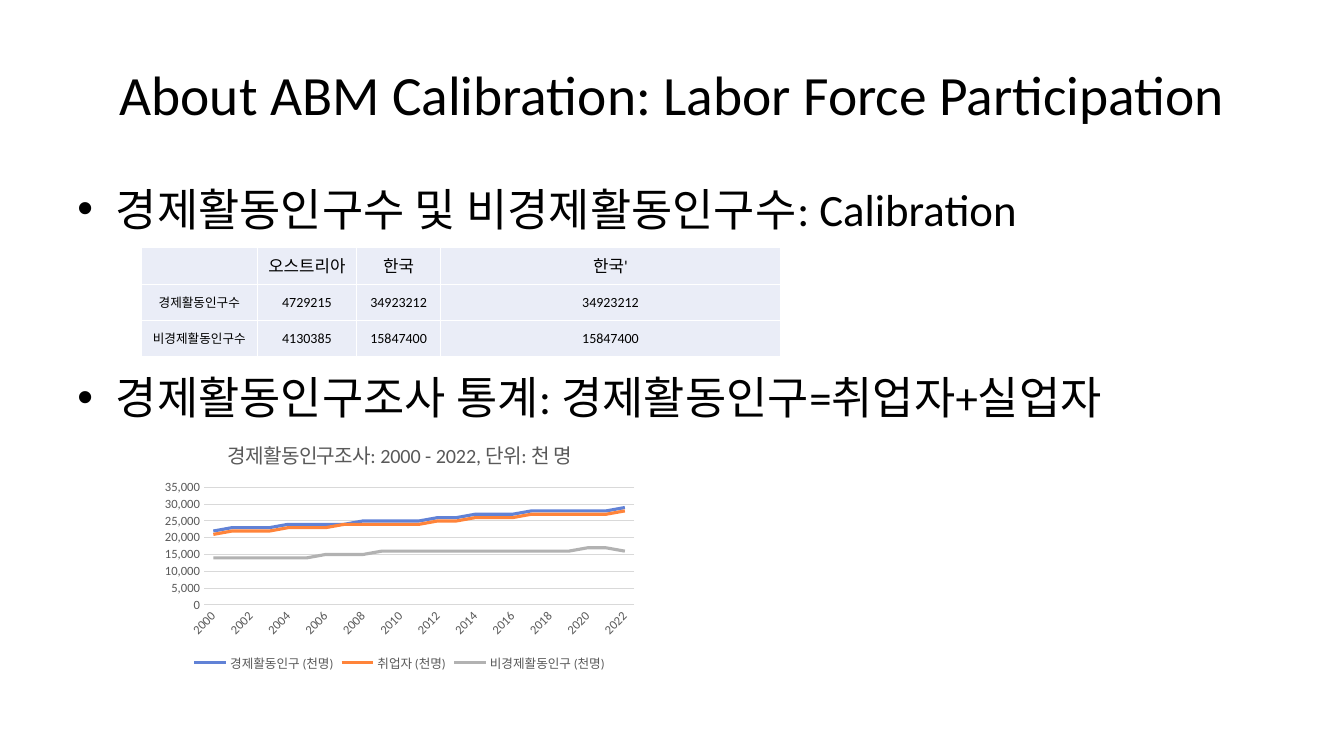
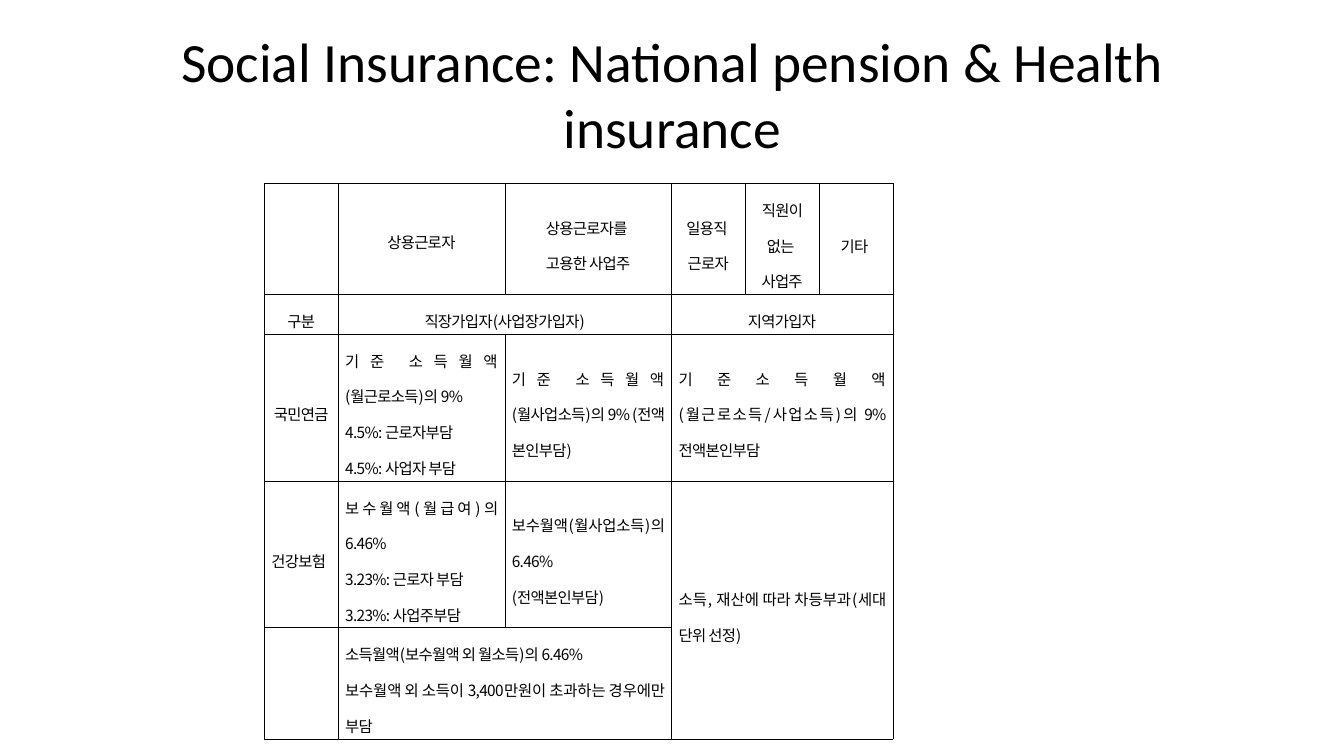
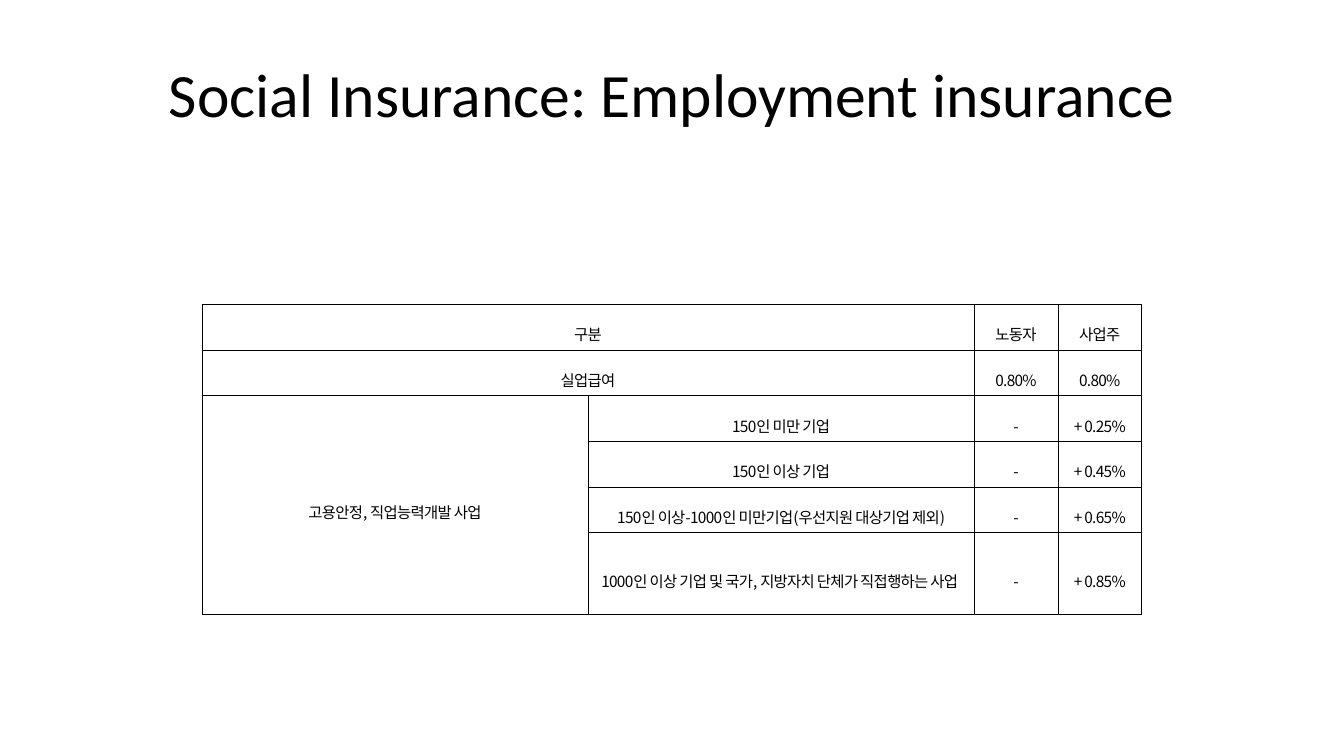
from dataclasses import dataclass

from lxml import etree
from pptx import Presentation
from pptx.chart.data import CategoryChartData
from pptx.dml.color import RGBColor
from pptx.enum.chart import XL_CHART_TYPE, XL_LEGEND_POSITION, XL_TICK_MARK
from pptx.enum.text import MSO_ANCHOR, MSO_AUTO_SIZE, PP_ALIGN
from pptx.oxml.ns import qn
from pptx.util import Cm, Pt

CENTER, JUSTIFY, LEFT = PP_ALIGN.CENTER, PP_ALIGN.JUSTIFY, PP_ALIGN.LEFT
MIDDLE, TOP = MSO_ANCHOR.MIDDLE, MSO_ANCHOR.TOP
NO_FIT = MSO_AUTO_SIZE.NONE
LINE, BOTTOM, NO_TICK = XL_CHART_TYPE.LINE, XL_LEGEND_POSITION.BOTTOM, XL_TICK_MARK.NONE
TITLE_ONLY = 5


@dataclass(frozen=True)
class Theme:
    font: str = "Calibri"
    table_font: str = "Noto Sans CJK KR"
    ink: str = "000000"
    muted: str = "595959"
    grid: str = "D9D9D9"
    white: str = "FFFFFF"
    band: str = "EAEDF7"
    series: tuple = ("6182D6", "FF843A", "B2B2B2")
    title: float = 44
    long_title: float = 39.6
    bullet: float = 32
    chart_title: float = 14.4
    head: float = 12
    table: float = 11
    number: float = 10
    small: float = 9


THEME = Theme()

YEARS = [str(year) for year in range(2000, 2023)]
THOUSAND = 1000
LABOR_SERIES = {
    "경제활동인구 (천명)": [
        22, 23, 23, 23, 24, 24, 24, 24, 25, 25, 25, 25,
        26, 26, 27, 27, 27, 28, 28, 28, 28, 28, 29],
    "취업자 (천명)": [
        21, 22, 22, 22, 23, 23, 23, 24, 24, 24, 24, 24,
        25, 25, 26, 26, 26, 27, 27, 27, 27, 27, 28],
    "비경제활동인구 (천명)": [
        14, 14, 14, 14, 14, 14, 15, 15, 15, 16, 16, 16,
        16, 16, 16, 16, 16, 16, 16, 16, 17, 17, 16],
}

LABOR_ROWS = [
    ["", "오스트리아", "한국", "한국'"],
    ["경제활동인구수", "4729215", "34923212", "34923212"],
    ["비경제활동인구수", "4130385", "15847400", "15847400"],
]

PENSION_ROWS = [
    ["", "상용근로자", "상용근로자를 \n고용한 사업주", "일용직 \n근로자",
     "직원이 없는 \n사업주", "기타 "],
    ["구분", "직장가입자(사업장가입자)", "", "지역가입자", "", ""],
    ["국민연금",
     "기준 소득월액(월근로소득)의 9%\n4.5%: 근로자부담\n4.5%: 사업자 부담",
     "기준 소득월액(월사업소득)의 9% (전액 본인부담)",
     "기준소득월액(월근로소득/사업소득)의 9% 전액본인부담", "", ""],
    ["건강보험",
     "보수월액(월급여)의 6.46%\n3.23%: 근로자 부담\n3.23%: 사업주부담",
     "보수월액(월사업소득)의 6.46%\n(전액본인부담)",
     "소득, 재산에 따라 차등부과(세대 단위 선정)", "", ""],
    ["",
     "소득월액(보수월액 외 월소득)의 6.46%\n보수월액 외 소득이 3,400만원이 초과하는 경우에만 부담",
     "", "", "", ""],
]
PENSION_SPANS = {(1, 1): (1, 2), (1, 3): (1, 5), (2, 3): (2, 5), (3, 3): (4, 5), (4, 1): (4, 2)}

EMPLOYMENT_ROWS = [
    ["구분", "", "노동자", "사업주"],
    ["실업급여", "", "0.80%", "0.80%"],
    ["고용안정, 직업능력개발 사업", "150인 미만 기업", "-", "+ 0.25%"],
    ["", "150인 이상 기업", "-", "+ 0.45%"],
    ["", "150인 이상-1000인 미만기업(우선지원 대상기업 제외)", "-", "+ 0.65%"],
    ["", "1000인 이상 기업 및 국가, 지방자치 단체가 직접행하는 사업 ", "-", "+ 0.85%"],
]
EMPLOYMENT_SPANS = {(0, 0): (0, 1), (1, 0): (1, 1), (2, 0): (5, 0)}


def apply(target, values):
    for name, value in values.items():
        setattr(target, name, value)


def style_font(font, size, color=THEME.ink, name=THEME.font):
    apply(font, {"name": name, "size": Pt(size), "bold": False})
    font.color.rgb = RGBColor.from_string(color)


def write(para, text, size, name=THEME.font, color=THEME.ink, **spacing):
    span = para.add_run()
    span.text = text
    style_font(span.font, size, color, name)
    properties = span.font._element
    etree.SubElement(properties, qn("a:ea"), typeface=name)
    for key, value in spacing.items():
        properties.set(key, str(value))


def add_page(deck, title, size):
    page = deck.slides.add_slide(deck.slide_layouts[TITLE_ONLY])
    box = page.shapes.title
    apply(box, {"left": Cm(1.7), "top": Cm(0.76), "width": Cm(30.48), "height": Cm(3.18)})
    apply(box.text_frame, {"vertical_anchor": MIDDLE, "word_wrap": True, "auto_size": NO_FIT})
    para = box.text_frame.paragraphs[0]
    para.alignment = CENTER
    write(para, title, size)
    return page


def add_bullets(page, texts, gap):
    box = page.shapes.add_textbox(Cm(1.7), Cm(4.45), Cm(30.48), Cm(12.57))
    frame = box.text_frame
    apply(frame, {"word_wrap": True, "vertical_anchor": TOP, "auto_size": NO_FIT})
    for index, text in enumerate(texts):
        para = frame.add_paragraph() if index else frame.paragraphs[0]
        apply(para, {"alignment": LEFT, "space_before": Pt(gap if index else 0)})
        properties = para._p.get_or_add_pPr()
        properties.set("marL", str(Cm(0.97)))
        properties.set("indent", str(-Cm(0.97)))
        etree.SubElement(properties, qn("a:buFont"), typeface="Arial")
        etree.SubElement(properties, qn("a:buChar"), char="•")
        write(para, text, THEME.bullet, kern=0)


def set_borders(cell, color, width):
    properties = cell._tc.get_or_add_tcPr()
    for index, side in enumerate(("lnL", "lnR", "lnT", "lnB")):
        line = etree.Element(qn(f"a:{side}"), w=str(Pt(width)))
        fill = etree.SubElement(line, qn("a:solidFill"))
        etree.SubElement(fill, qn("a:srgbClr"), val=color)
        properties.insert(index, line)


def fill_cell(cell, text, look, row, column):
    apply(cell, {"vertical_anchor": MIDDLE, **look["margins"]})
    if look["fill"]:
        cell.fill.solid()
        cell.fill.fore_color.rgb = RGBColor.from_string(look["fill"])
    else:
        cell.fill.background()
    set_borders(cell, *look["border"])
    size = look["size"](row, column)
    frame = cell.text_frame
    for index, line in enumerate(text.split("\n")):
        para = frame.add_paragraph() if index else frame.paragraphs[0]
        apply(para, {"alignment": look["align"](row, column),
                     "line_spacing": look["spacing"](row, column)})
        if line:
            write(para, line, size, look["font"], kern=0, spc=look["tracking"])
        else:
            para.font.size = Pt(size)


def add_grid(page, left, top, widths, heights, rows, look, spans):
    frame = page.shapes.add_table(len(heights), len(widths), Cm(left), Cm(top),
                                  Cm(sum(widths)), Cm(sum(heights)))
    table = frame.table
    apply(table, {"first_row": False, "horz_banding": False})
    for column, width in zip(table.columns, widths):
        column.width = Cm(width)
    for line, height in zip(table.rows, heights):
        line.height = Cm(height)
    for row, texts in enumerate(rows):
        for column, text in enumerate(texts):
            fill_cell(table.cell(row, column), text, look, row, column)
    for start, end in spans.items():
        table.cell(*start).merge(table.cell(*end))


def margins(side, top, bottom):
    return {"margin_left": Cm(side), "margin_right": Cm(side),
            "margin_top": Cm(top), "margin_bottom": Cm(bottom)}


def always(value):
    return lambda row, column: value


def plain_look(border, cell_margins, align, spacing):
    return {"fill": None, "border": (THEME.ink, border), "margins": cell_margins,
            "font": THEME.table_font, "tracking": -50, "spacing": spacing,
            "align": align, "size": always(THEME.table)}


def style_line(line, color, width):
    line.color.rgb = RGBColor.from_string(color)
    line.width = Pt(width)


def add_line_chart(page, title, categories, series):
    data = CategoryChartData(number_format="#,##0")
    data.categories = categories
    for name, values in series.items():
        data.add_series(name, [value * THOUSAND for value in values])
    chart = page.shapes.add_chart(LINE, Cm(3.91), Cm(10.8), Cm(12.32), Cm(6.22), data).chart
    style_font(chart.font, THEME.number)
    chart.has_title = True
    para = chart.chart_title.text_frame.paragraphs[0]
    write(para, title, THEME.chart_title, color=THEME.muted, kern=0)
    chart.chart_title.include_in_layout = False
    chart.has_legend = True
    apply(chart.legend, {"position": BOTTOM, "include_in_layout": False})
    style_font(chart.legend.font, THEME.small, THEME.muted)
    years, people = chart.category_axis, chart.value_axis
    for axis in (years, people):
        apply(axis, {"major_tick_mark": NO_TICK, "minor_tick_mark": NO_TICK})
        style_font(axis.tick_labels.font, THEME.small, THEME.muted)
    style_line(years.format.line, THEME.grid, 0.75)
    people.format.line.fill.background()
    style_line(people.major_gridlines.format.line, THEME.grid, 0.75)
    apply(people, {"minimum_scale": 0, "maximum_scale": 35000, "major_unit": 5000})
    apply(people.tick_labels, {"number_format": "#,##0", "number_format_is_linked": False})
    chart.plots[0].vary_by_categories = False
    for line, color in zip(chart.plots[0].series, THEME.series):
        line.smooth = False
        style_line(line.format.line, color, 2.25)


def labor_size(row, column):
    if row == 0:
        return THEME.head
    return THEME.number if column else THEME.small


def pension_align(row, column):
    return CENTER if row < 2 or (row, column) == (2, 0) else JUSTIFY


def pension_spacing(row, column):
    return 1.3 if (row, column) == (0, 1) else 1.6


def add_labor_page(deck):
    page = add_page(deck, "About ABM Calibration: Labor Force Participation", THEME.long_title)
    add_bullets(page, ["경제활동인구수 및 비경제활동인구수: Calibration",
                       "경제활동인구조사 통계: 경제활동인구=취업자+실업자"], 96)
    look = {"fill": THEME.band, "border": (THEME.white, 1), "margins": margins(0.03, 0.03, 0),
            "font": THEME.font, "tracking": 0, "spacing": always(1.0),
            "align": always(CENTER), "size": labor_size}
    add_grid(page, 3.56, 6.23, [2.92, 2.51, 2.11, 8.57], [0.93, 0.91, 0.91],
             LABOR_ROWS, look, {})
    add_line_chart(page, "경제활동인구조사: 2000 - 2022, 단위: 천 명", YEARS, LABOR_SERIES)


def add_pension_page(deck):
    page = add_page(deck, "Social Insurance: National pension & Health insurance",
                    THEME.long_title)
    look = plain_look(0.28, margins(0.18, 0.05, 0.05), pension_align, pension_spacing)
    add_grid(page, 6.66, 4.61, [1.86, 4.2, 4.2, 1.86, 1.86, 1.86],
             [1.73, 0.48, 2.36, 2.54, 1.73], PENSION_ROWS, look, PENSION_SPANS)


def add_employment_page(deck):
    page = add_page(deck, "Social Insurance: Employment insurance", THEME.title)
    look = plain_look(0.56, margins(0.25, 0.13, 0.12), always(CENTER), always(1.6))
    add_grid(page, 5.09, 7.67, [9.73, 9.73, 2.11, 2.11], [0.48] * 5 + [1.12],
             EMPLOYMENT_ROWS, look, EMPLOYMENT_SPANS)


def main():
    deck = Presentation()
    apply(deck, {"slide_width": Cm(33.87), "slide_height": Cm(19.05)})
    add_labor_page(deck)
    add_pension_page(deck)
    add_employment_page(deck)
    deck.save("out.pptx")


if __name__ == "__main__":
    main()
